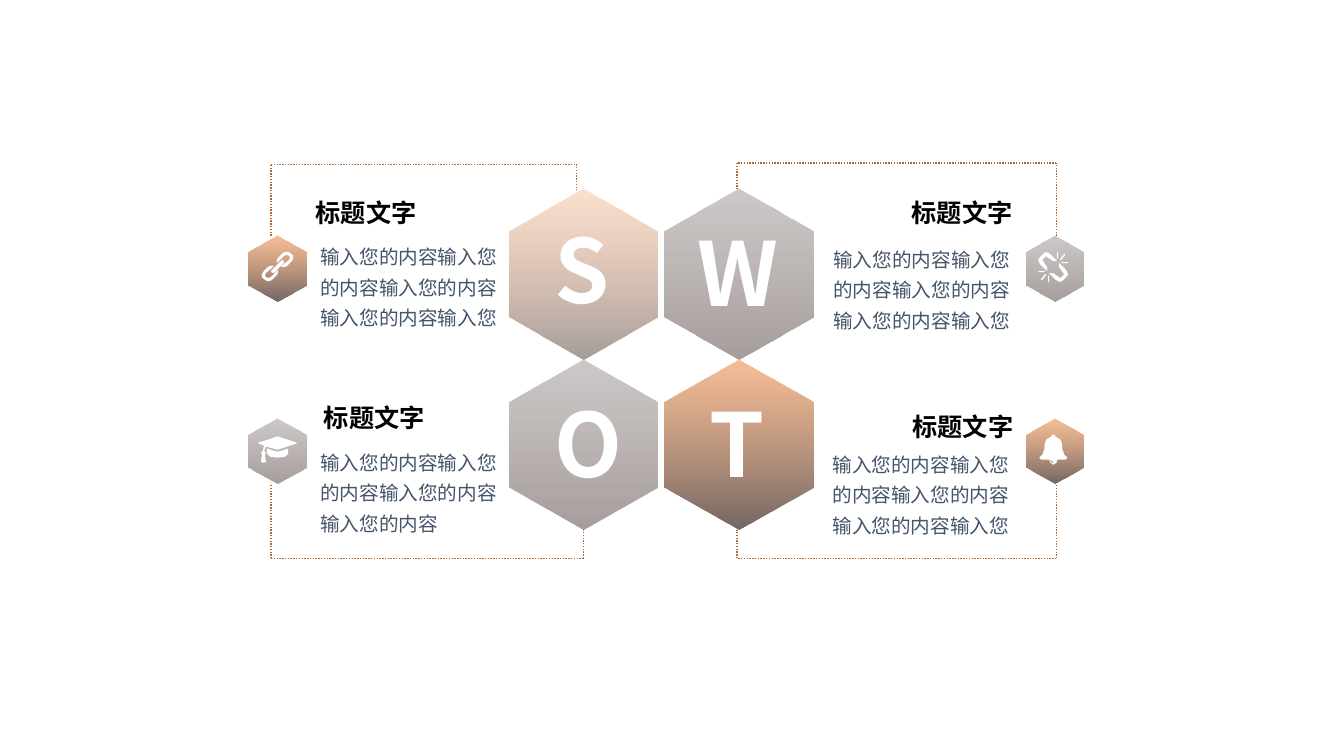
from itertools import pairwise

from lxml.etree import SubElement
from pptx import Presentation
from pptx.dml.color import RGBColor
from pptx.enum.dml import MSO_LINE
from pptx.enum.shapes import MSO_CONNECTOR
from pptx.enum.text import MSO_AUTO_SIZE as AutoSize, PP_ALIGN as Align
from pptx.oxml.ns import qn
from pptx.util import Cm, Pt

GRAY = (("4C3C39", 28), ("392723", 45))
ORANGE = (("ED7D31", 50), ("392723", 71))
PALE = (("ED7D31", 24), ("392723", 46))
HEXAGON = [(1, 0.75), (0.5, 1), (0, 0.75), (0, 0.25), (0.5, 0), (1, 0.25)]
PHRASE = "输入您的内容"


def color(value):
    return RGBColor.from_string(value)


def turned(contours, size):
    """Add to the contours the same ones turned by half a circle."""
    return contours + [[(size - x, size - y) for x, y in points] for points in contours]


CHAIN = turned([[(29, 11), (25, 15), (23, 16), (19, 16), (22, 13), (27, 9), (28, 7),
                 (27, 5), (25, 4), (22, 5), (18, 9), (15, 12), (15, 9), (16, 7),
                 (20, 3), (23, 1), (26, 1), (29, 3), (31, 5), (31, 8)]], 31)
CHAIN += [[(12, 22), (10, 22), (9, 20), (19, 10), (21, 9), (22, 11), (22, 12)]]
BROKEN_CHAIN = turned([
    [(15, 9), (9, 5), (8, 4), (7, 5), (5, 7), (4, 8), (5, 9), (9, 15), (9, 19),
     (8, 18), (2, 12), (0, 8), (2, 5), (5, 2), (8, 0), (12, 2), (18, 8), (19, 9)],
    [(0, 19.5), (1, 19), (6, 19), (7, 19.5), (6, 20), (1, 20)],
    [(3, 27), (7, 22), (8, 22), (8, 23), (4, 28), (3, 28)],
    [(10, 24), (10.5, 23), (11, 24), (11, 30), (10, 30)]], 30)
CAP = [[(38, 7), (20, 13), (19, 13), (8, 10), (6, 14), (8, 16), (7, 18), (8, 25),
        (7, 26), (4, 26), (3, 25), (4, 18), (3, 16), (5, 14), (6, 9), (1, 7),
        (0, 6.5), (1, 6), (19, 0), (20, 0), (38, 6), (39, 6.5)],
       [(30, 17), (27, 20), (19.5, 21), (12, 20), (9, 17), (9, 12), (19, 15),
        (20, 15), (30, 12)]]
HALF_BELL = [(14, 0), (12.5, 0.5), (12, 2), (7, 5), (5.5, 9), (5, 15), (3, 20), (0, 23),
             (2, 25), (10, 25), (11, 28), (14, 30)]
BELL = [HALF_BELL + [(28 - x, y) for x, y in reversed(HALF_BELL)],
        [(14, 27), (12, 26), (11, 25), (11, 26), (12, 28), (14, 28)]]


class SwotSlide:
    """Hold the style and the current slide."""

    font = "Noto Sans CJK SC"
    icon_unit = Cm(2.54) / 100

    def __init__(self, page):
        self.shapes = page.shapes

    def outline(self, left, top, contours, x_unit, y_unit):
        scaled = [[(x * x_unit, y * y_unit) for x, y in points] for points in contours]
        builder = self.shapes.build_freeform(*scaled[0][0])
        for number, points in enumerate(scaled):
            if number:
                builder.move_to(*points[0])
            builder.add_line_segments(points[1:], close=True)
        shape = builder.convert_to_shape(Cm(left), Cm(top))
        shape.shadow.inherit = False
        shape.line.fill.background()
        return shape

    def hexagon(self, left, top, width, height, stops):
        shape = self.outline(left, top, [HEXAGON], Cm(width), Cm(height))
        shape.fill.gradient()
        shape.fill.gradient_angle = 270
        for stop, (value, _) in zip(shape.fill.gradient_stops, stops):
            stop.color.rgb = color(value)
        tints = shape._element.spPr.iter(qn("a:srgbClr"))
        for tint, (_, opacity) in zip(tints, stops):
            SubElement(tint, qn("a:alpha")).set("val", str(opacity * 1000))

    def icon(self, left, top, contours):
        shape = self.outline(left, top, contours, self.icon_unit, self.icon_unit)
        shape.fill.solid()
        shape.fill.fore_color.rgb = color("FFFFFF")

    def text(self, place, words, size, value, bold=True, align=Align.CENTER, wrap=True,
             spacing=None):
        box = self.shapes.add_textbox(*map(Cm, place))
        frame = box.text_frame
        frame.text = words
        frame.word_wrap = wrap
        frame.auto_size = AutoSize.SHAPE_TO_FIT_TEXT
        para = frame.paragraphs[0]
        para.alignment = align
        para.line_spacing = spacing
        span = para.runs[0]
        span.font.size = Pt(size)
        span.font.bold = bold
        span.font.color.rgb = color(value)
        span.font.name = self.font
        SubElement(span.font._element, qn("a:ea")).set("typeface", self.font)

    def dotted_route(self, points):
        for start, end in pairwise(points):
            line = self.shapes.add_connector(MSO_CONNECTOR.STRAIGHT,
                                             *map(Cm, start + end))
            line.line.color.rgb = color("AF6A33")
            line.line.width = Pt(1)
            line.line.dash_style = MSO_LINE.ROUND_DOT
            SubElement(line._element.spPr, qn("a:effectLst"))

    def quadrant(self, letter, column, row, big_fill, small_fill, letter_place,
                 heading_place, body_place, repeats, ending, hexagon_end, rail,
                 icon_place, icon):
        self.hexagon(12.83 + 3.91 * column, 4.75 + 4.3 * row, 3.75, 4.3, big_fill)
        self.text((*letter_place, 2.95), letter, 63, "FFFFFF")
        self.hexagon(6.27 + 19.59 * column, 5.94 + 4.6 * row, 1.45, 1.65, small_fill)
        self.text((*heading_place, 1.02), "标题文字", 18, "000000", wrap=False)
        self.text((*body_place, 2.59), PHRASE * repeats + ending, 14, "44546A",
                  bold=False, align=Align.LEFT, spacing=1.3)
        icon_x = 6.83 + 19.79 * column
        self.dotted_route([(icon_x, 5.94 + 6.28 * row), (icon_x, rail),
                           (hexagon_end[0], rail), hexagon_end])
        self.icon(*icon_place, icon)


def main():
    deck = Presentation()
    deck.slide_width, deck.slide_height = Cm(33.87), Cm(19.05)
    page = deck.slides.add_slide(deck.slide_layouts[6])
    swot = SwotSlide(page)
    swot.quadrant("S", 0, 0, PALE, ORANGE, (13.69, 5.31, 1.98), (7.65, 4.85, 3.15),
                  (7.82, 5.87, 5.03), 4, "输入您", (14.53, 4.8), 4.14,
                  (6.6, 6.32), CHAIN)
    swot.quadrant("W", 1, 0, GRAY, GRAY, (17.25, 5.38, 2.67), (22.71, 4.85, 3.07),
                  (20.75, 5.94, 5.11), 4, "输入您", (18.57, 4.75), 4.11,
                  (26.16, 6.35), BROKEN_CHAIN)
    swot.quadrant("O", 0, 1, GRAY, GRAY, (13.72, 9.68, 1.98), (7.9, 10.01, 3.07),
                  (7.82, 11.05, 5.03), 4, "", (14.71, 13.35), 14.07,
                  (6.5, 11), CAP)
    swot.quadrant("T", 1, 1, ORANGE, ORANGE, (17.58, 9.68, 1.98), (22.73, 10.24, 3.07),
                  (20.73, 11.1, 5.4), 4, "输入您", (18.57, 13.35), 14.07,
                  (26.19, 10.95), BELL)
    deck.save("out.pptx")


if __name__ == "__main__":
    main()
